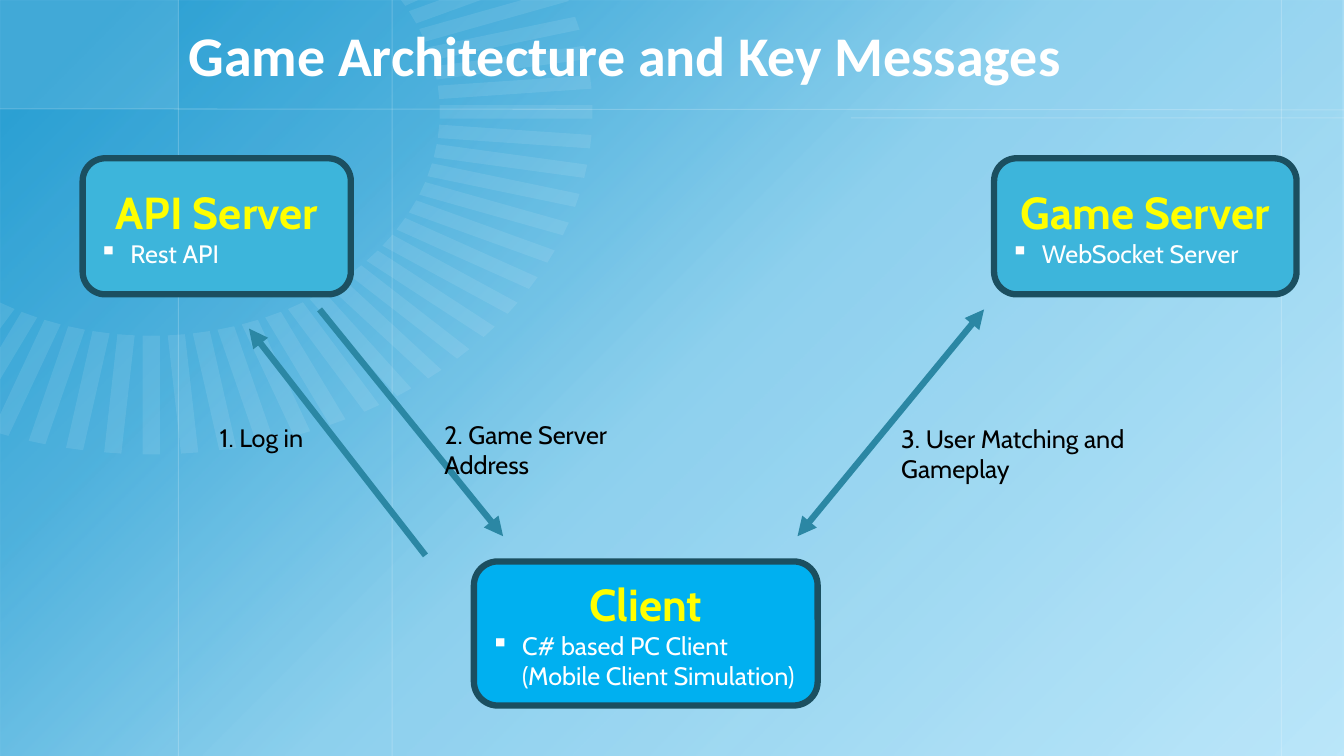
from math import cos, radians, sin

from lxml.etree import SubElement
from pptx import Presentation
from pptx.dml.color import RGBColor
from pptx.enum.shapes import MSO_CONNECTOR, MSO_SHAPE
from pptx.enum.text import MSO_ANCHOR, MSO_AUTO_SIZE, PP_ALIGN
from pptx.oxml.ns import qn
from pptx.util import Inches, Pt

SLIDE_WIDTH, SLIDE_HEIGHT = 13.33, 7.5
WHITE, BLACK, YELLOW = "FFFFFF", "000000", "FFFF00"
HEADING = {"name": "Cabin", "size": Pt(32), "bold": True}
DETAIL = {"name": "Cabin", "size": Pt(18), "bold": False}
TITLE = {"name": "Calibri", "size": Pt(40), "bold": True}

GRADIENT_COLOUR = "0F92CC"
GRADIENT_STOPS = [(6, 83), (26, 63), (50, 27), (100, 0)]  # position, opacity
GRID_LINES = [
    (1.77, 0, 1.77, SLIDE_HEIGHT),
    (12.71, 0, 12.71, SLIDE_HEIGHT),
    (3.89, 0, 3.89, SLIDE_HEIGHT),
    (0, 1.08, SLIDE_WIDTH, 1.09),
    (8.44, 1.17, SLIDE_WIDTH, 1.17),
]
SERVER = MSO_SHAPE.ROUNDED_RECTANGLE
CLIENT = MSO_SHAPE.FLOWCHART_ALTERNATE_PROCESS
NODES = [
    (SERVER, (0.82, 1.57, 2.66, 1.35), "3DB5DB", "API Server", "Rest API"),
    (SERVER, (9.86, 1.57, 3, 1.35), "3DB5DB", "Game Server", "WebSocket Server"),
    (CLIENT, (4.7, 5.57, 3.41, 1.43), "00B0F0", "Client",
     "C# based PC Client\v(Mobile Client Simulation)"),
]
MESSAGES = [  # arrow, arrowheads, label position and width, label
    ((4.22, 5.51, 2.47, 3.26), ["tailEnd"], (2.08, 4.14, 1.06), "1. Log in"),
    ((3.17, 3.07, 4.99, 5.32), ["tailEnd"], (4.31, 4.11, 2.4),
     "2. Game Server Address"),
    ((9.76, 3.07, 7.91, 5.32), ["headEnd", "tailEnd"], (8.84, 4.15, 3.2),
     "3. User Matching and Gameplay"),
]


def inches(lengths):
    return [Inches(length) for length in lengths]


def rgb(colour):
    return RGBColor.from_string(colour)


def set_opacity(fill, percent):
    colour = fill.fore_color._xFill.find(qn("a:srgbClr"))
    SubElement(colour, qn("a:alpha"), val=str(percent * 1000))


def paint(shape, colour, opacity=100):
    shape.shadow.inherit = False
    shape.line.fill.background()
    shape.fill.solid()
    shape.fill.fore_color.rgb = rgb(colour)
    if opacity < 100:
        set_opacity(shape.fill, opacity)


def paint_gradient(shape):
    shape.fill.gradient()
    shape.fill.gradient_angle = 315  # counter-clockwise: towards bottom right
    stops = shape.element.spPr.find(qn("a:gradFill")).find(qn("a:gsLst"))
    for stop in list(stops):
        stops.remove(stop)
    for position, opacity in GRADIENT_STOPS:
        stop = SubElement(stops, qn("a:gs"), pos=str(position * 1000))
        colour = SubElement(stop, qn("a:srgbClr"), val=GRADIENT_COLOUR)
        SubElement(colour, qn("a:alpha"), val=str(opacity * 1000))


def add_line(slide, ends, colour, width, opacity=100, heads=()):
    line = slide.shapes.add_connector(MSO_CONNECTOR.STRAIGHT, *inches(ends))
    line.line.width = Pt(width)
    line.line.fill.solid()
    line.line.fill.fore_color.rgb = rgb(colour)
    if opacity < 100:
        set_opacity(line.line.fill, opacity)
    outline = line.element.spPr.find(qn("a:ln"))
    for head in heads:
        SubElement(outline, qn(f"a:{head}"), type="triangle")
    SubElement(line.element.spPr, qn("a:effectLst"))


def clip(points, axis):
    """Cut a polygon off where the given coordinate falls below zero."""
    kept = []
    for start, end in zip(points, points[1:] + points[:1]):
        if start[axis] >= 0:
            kept.append(start)
        if (start[axis] >= 0) != (end[axis] >= 0):
            share = start[axis] / (start[axis] - end[axis])
            kept.append(tuple(s + share * (e - s) for s, e in zip(start, end)))
    return kept


def add_spoke(slide, degrees):
    centre_x, centre_y, radius_x, radius_y = 1.5, 1.11, 2.86, 2.22
    outer, half = 1.53, 0.03
    turn = radians(degrees)
    corners = []
    for along, across in [(1, -half), (outer, -half), (outer, half), (1, half)]:
        x = along * cos(turn) - across * sin(turn)
        y = along * sin(turn) + across * cos(turn)
        corners.append((centre_x + radius_x * x, centre_y + radius_y * y))
    first, *others = [inches(point) for point in clip(clip(corners, 0), 1)]
    outline = slide.shapes.build_freeform(*first, scale=1.0)
    outline.add_line_segments(others, close=True)
    paint(outline.convert_to_shape(), "F2FAFE", 10)


def add_backdrop(slide):
    slide.background.fill.solid()
    slide.background.fill.fore_color.rgb = rgb("BCE7FA")
    wash, corner = [
        slide.shapes.add_shape(MSO_SHAPE.RECTANGLE, *inches((0, 0, *size)))
        for size in [(SLIDE_WIDTH, SLIDE_HEIGHT), (1.77, 1.08)]
    ]
    paint(wash, GRADIENT_COLOUR)
    paint_gradient(wash)
    paint(corner, WHITE, 10)
    for ends in GRID_LINES:
        add_line(slide, ends, WHITE, 0.75, opacity=20)
    for degrees in range(-30, 125, 5):
        add_spoke(slide, degrees)


def write(paragraph, text, font, colour, alignment=PP_ALIGN.LEFT):
    paragraph.text = text
    paragraph.alignment = alignment
    for run in paragraph.runs:
        for attribute, value in font.items():
            setattr(run.font, attribute, value)
        run.font.color.rgb = rgb(colour)


def add_bullet(paragraph):
    properties = paragraph._p.get_or_add_pPr()
    properties.set("marL", str(Inches(0.31)))
    properties.set("indent", str(Inches(-0.31)))
    SubElement(properties, qn("a:buChar"), char="▪")


def add_title(slide, text):
    title = slide.shapes.title
    title.left, title.top, title.width, title.height = inches((1.77, 0, 10.89, 1.08))
    title.text_frame.auto_size = MSO_AUTO_SIZE.NONE
    title.text_frame.vertical_anchor = MSO_ANCHOR.MIDDLE
    write(title.text_frame.paragraphs[0], text, TITLE, WHITE)
    title.element.getparent().append(title.element)  # in front of the backdrop


def add_node(slide, outline, box, colour, heading, detail):
    node = slide.shapes.add_shape(outline, *inches(box))
    paint(node, colour)
    node.line.color.rgb = rgb("1B4F60")
    node.line.width = Pt(4.5)
    frame = node.text_frame
    frame.word_wrap = True
    frame.vertical_anchor = MSO_ANCHOR.MIDDLE
    write(frame.paragraphs[0], heading, HEADING, YELLOW, PP_ALIGN.CENTER)
    bullet = frame.add_paragraph()
    write(bullet, detail, DETAIL, WHITE)
    add_bullet(bullet)


def add_message(slide, arrow, heads, place, text):
    add_line(slide, arrow, "2B87A4", 4.5, heads=heads)
    label = slide.shapes.add_textbox(*inches((*place, 0.4)))
    label.text_frame.word_wrap = True
    write(label.text_frame.paragraphs[0], text, DETAIL, BLACK)


def main():
    deck = Presentation()
    deck.slide_width, deck.slide_height = inches((SLIDE_WIDTH, SLIDE_HEIGHT))
    slide = deck.slides.add_slide(deck.slide_layouts[5])
    add_backdrop(slide)
    add_title(slide, "Game Architecture and Key Messages")
    for node in NODES:
        add_node(slide, *node)
    for message in MESSAGES:
        add_message(slide, *message)
    deck.save("out.pptx")


if __name__ == "__main__":
    main()
